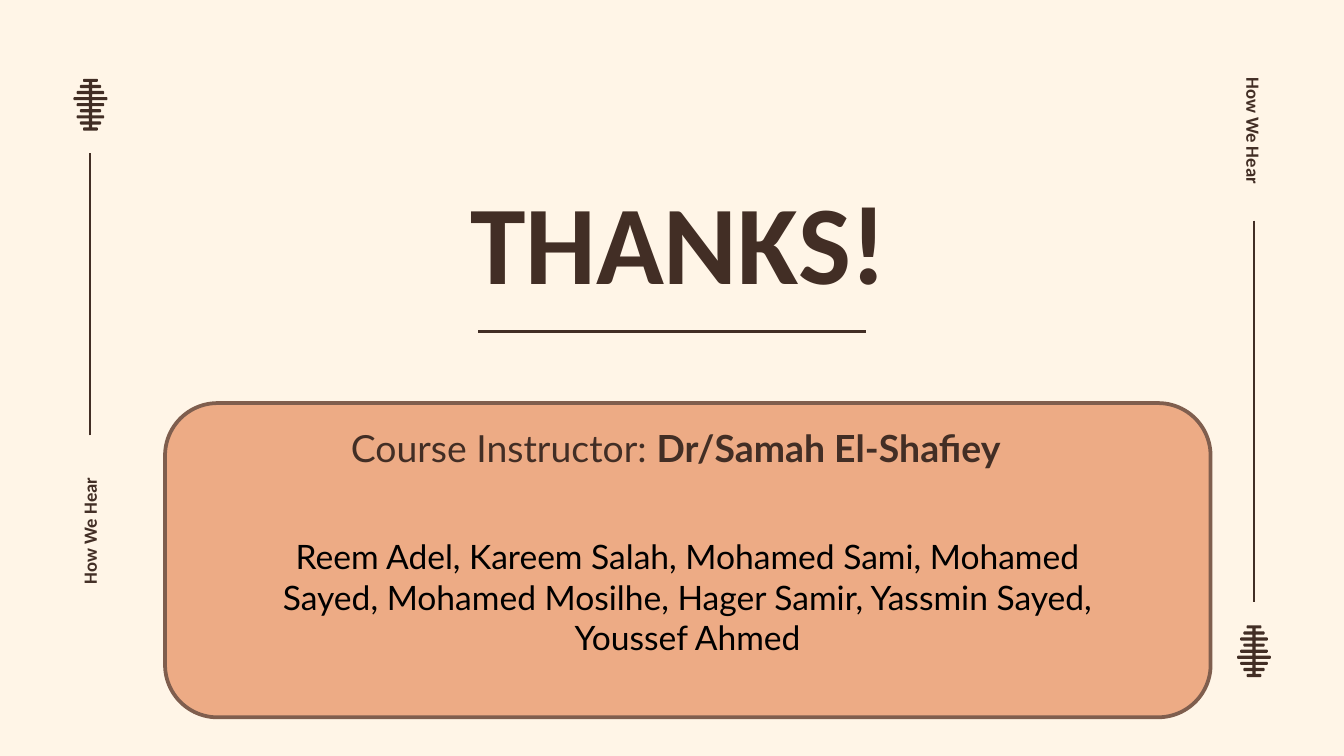
from dataclasses import dataclass

from lxml import etree
from pptx import Presentation
from pptx.dml.color import RGBColor
from pptx.enum.shapes import MSO_CONNECTOR, MSO_SHAPE
from pptx.enum.text import MSO_ANCHOR, MSO_AUTO_SIZE, PP_ALIGN
from pptx.oxml.ns import qn
from pptx.shapes.base import BaseShape
from pptx.slide import Slide
from pptx.util import Cm, Pt

STRAIGHT = MSO_CONNECTOR.STRAIGHT
ROUNDED_RECTANGLE = MSO_SHAPE.ROUNDED_RECTANGLE
MIDDLE, TOP = MSO_ANCHOR.MIDDLE, MSO_ANCHOR.TOP
LEFT, CENTER = PP_ALIGN.LEFT, PP_ALIGN.CENTER
NO_AUTOFIT = MSO_AUTO_SIZE.NONE
TWO_CONTENT_LAYOUT = 3


@dataclass(frozen=True)
class Theme:
    background: RGBColor = RGBColor.from_string("FFF5E7")
    brown: RGBColor = RGBColor.from_string("422E25")
    card_fill: RGBColor = RGBColor.from_string("EDAB85")
    card_line: RGBColor = RGBColor.from_string("7F5E4E")
    black: RGBColor = RGBColor.from_string("000000")
    heading_font: str = "Calibri"
    body_font: str = "Lato"
    title_size: float = 60
    label_size: float = 10
    instructor_size: float = 20
    names_size: float = 18
    rule_width: float = 1.5
    card_line_width: float = 2


@dataclass(frozen=True)
class Box:
    """Position and size in centimetres."""
    left: float
    top: float
    width: float
    height: float


@dataclass(frozen=True)
class TextStyle:
    font: str
    size: float
    color: RGBColor
    alignment: PP_ALIGN = LEFT
    anchor: MSO_ANCHOR = TOP
    bold: bool = False


@dataclass(frozen=True)
class SideLabel:
    placeholder_index: int
    box: Box
    rotation: int


@dataclass(frozen=True)
class Rule:
    start: tuple[float, float]
    end: tuple[float, float]


@dataclass(frozen=True)
class SoundIcon:
    center: tuple[float, float]
    bar_reaches: tuple[float, ...]


THEME = Theme()
TITLE = TextStyle(THEME.heading_font, THEME.title_size, THEME.brown, CENTER, MIDDLE, True)
LABEL = TextStyle(THEME.heading_font, THEME.label_size, THEME.brown, LEFT, MIDDLE, True)
INSTRUCTOR = TextStyle(THEME.body_font, THEME.instructor_size, THEME.brown)
NAMES = TextStyle(THEME.body_font, THEME.names_size, THEME.black, CENTER)

BAR_REACHES = (0.14, 0.2, 0.26, 0.32, 0.26, 0.2, 0.26, 0.2, 0.14)
BAR_PITCH = 0.92 / (len(BAR_REACHES) - 1)
BAR_HALF_HEIGHT = 0.03
STEM_HALF_WIDTH = 0.03

SIDE_LABELS = (
    SideLabel(1, Box(0, 9.22, 3.38, 0.76), 270),
    SideLabel(2, Box(22.17, 2.36, 3.05, 0.76), 90),
)
RULES = (
    Rule((23.7, 4.17), (23.7, 11.38)),
    Rule((1.7, 8.23), (1.7, 2.9)),
    Rule((9.04, 6.27), (16.36, 6.27)),
)
ICONS = (
    SoundIcon((1.71, 1.98), BAR_REACHES),
    SoundIcon((23.7, 12.31), BAR_REACHES[::-1]),
)


def place(shape: BaseShape, box: Box) -> None:
    shape.left, shape.top = Cm(box.left), Cm(box.top)
    shape.width, shape.height = Cm(box.width), Cm(box.height)


def write(shape: BaseShape, text: str, style: TextStyle, inset: float | None = None) -> None:
    frame = shape.text_frame
    frame.text = text
    frame.word_wrap = True
    frame.auto_size = NO_AUTOFIT
    frame.vertical_anchor = style.anchor
    if inset is not None:
        frame.margin_left = frame.margin_right = Cm(inset)
        frame.margin_top = frame.margin_bottom = Cm(inset)
    paragraph = frame.paragraphs[0]
    paragraph.alignment = style.alignment
    paragraph.space_before = Pt(0)
    for run in paragraph.runs:
        run.font.name = style.font
        run.font.size = Pt(style.size)
        run.font.bold = style.bold
        run.font.color.rgb = style.color


def remove_bullet(shape: BaseShape) -> None:
    properties = shape.text_frame.paragraphs[0]._p.get_or_add_pPr()
    properties.set("marL", "0")
    properties.set("indent", "0")
    etree.SubElement(properties, qn("a:buNone"))


def add_side_label(slide: Slide, label: SideLabel) -> None:
    shape = slide.placeholders[label.placeholder_index]
    place(shape, label.box)
    shape.rotation = label.rotation
    write(shape, "How We Hear", LABEL, inset=0.25)
    remove_bullet(shape)


def add_rule(slide: Slide, rule: Rule) -> None:
    connector = slide.shapes.add_connector(
        STRAIGHT, *(Cm(value) for value in rule.start + rule.end))
    connector.line.color.rgb = THEME.brown
    connector.line.width = Pt(THEME.rule_width)
    etree.SubElement(connector._element.spPr, qn("a:effectLst"))


def add_icon(slide: Slide, icon: SoundIcon) -> None:
    """Draw a stem crossed by bars: down the right side, back up the left."""
    center_x, center_y = icon.center
    first_y = center_y - BAR_PITCH * (len(icon.bar_reaches) - 1) / 2
    profile = []
    for row, reach in enumerate(icon.bar_reaches):
        y = first_y + row * BAR_PITCH
        shoulder = reach - BAR_HALF_HEIGHT / 2
        for x, offset in ((STEM_HALF_WIDTH, -1), (shoulder, -1), (reach, -0.5),
                          (reach, 0.5), (shoulder, 1), (STEM_HALF_WIDTH, 1)):
            profile.append((x, y + offset * BAR_HALF_HEIGHT))
    outline = [(center_x + x, y) for x, y in profile]
    outline += [(center_x - x, y) for x, y in reversed(profile)]
    points = [(Cm(x), Cm(y)) for x, y in outline]
    builder = slide.shapes.build_freeform(*points[0])
    builder.add_line_segments(points[1:], close=True)
    shape = builder.convert_to_shape()
    shape.shadow.inherit = False
    shape.fill.solid()
    shape.fill.fore_color.rgb = THEME.brown
    shape.line.fill.background()


def add_card(slide: Slide, box: Box) -> None:
    card = slide.shapes.add_shape(ROUNDED_RECTANGLE, 0, 0, 0, 0)
    place(card, box)
    card.shadow.inherit = False
    card.fill.solid()
    card.fill.fore_color.rgb = THEME.card_fill
    card.line.color.rgb = THEME.card_line
    card.line.width = Pt(THEME.card_line_width)


def add_text(slide: Slide, box: Box, text: str, style: TextStyle) -> BaseShape:
    shape = slide.shapes.add_textbox(0, 0, 0, 0)
    place(shape, box)
    write(shape, text, style)
    return shape


def main() -> None:
    presentation = Presentation()
    presentation.slide_width, presentation.slide_height = Cm(25.4), Cm(14.29)
    slide = presentation.slides.add_slide(presentation.slide_layouts[TWO_CONTENT_LAYOUT])
    slide.background.fill.solid()
    slide.background.fill.fore_color.rgb = THEME.background

    title = slide.shapes.title
    place(title, Box(6.38, 3.18, 12.9, 2.69))
    write(title, "THANKS!", TITLE, inset=0.25)
    for label in SIDE_LABELS:
        add_side_label(slide, label)
    for rule in RULES:
        add_rule(slide, rule)
    for icon in ICONS:
        add_icon(slide, icon)

    add_card(slide, Box(3.12, 7.62, 19.76, 5.94))
    instructor = add_text(slide, Box(6.38, 7.92, 13.23, 1.12), "Course Instructor: ", INSTRUCTOR)
    name = instructor.text_frame.paragraphs[0].add_run()
    name.text = "Dr/Samah El-Shafiey"
    name.font.name, name.font.size = INSTRUCTOR.font, Pt(INSTRUCTOR.size)
    name.font.color.rgb, name.font.bold = INSTRUCTOR.color, True
    add_text(slide, Box(4.6, 10.01, 16.79, 2.57),
             "Reem Adel, Kareem Salah, Mohamed Sami, Mohamed Sayed, Mohamed Mosilhe, "
             "Hager Samir, Yassmin Sayed, Youssef Ahmed", NAMES)
    presentation.save("out.pptx")


if __name__ == "__main__":
    main()
